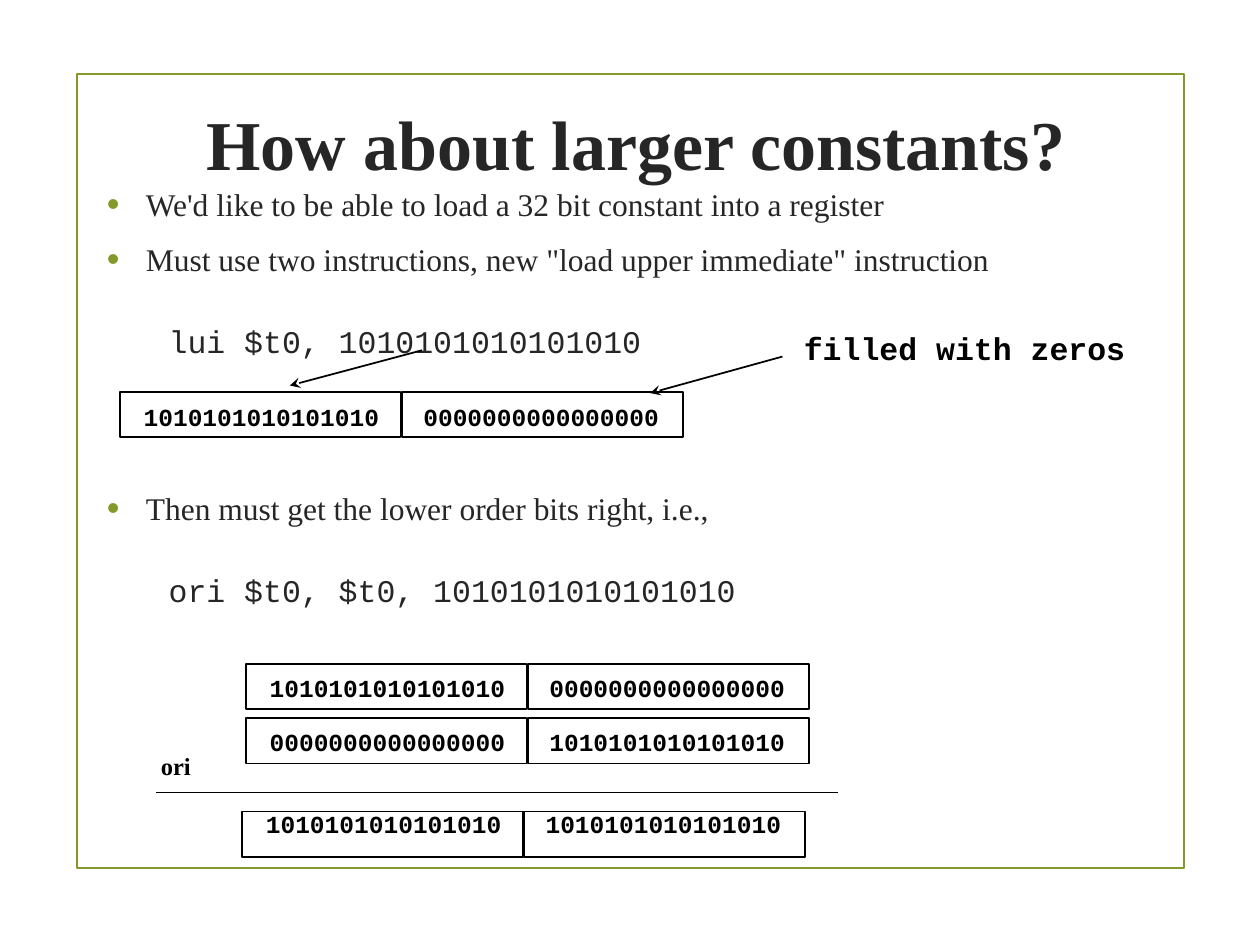
from dataclasses import dataclass

from lxml import etree
from pptx import Presentation
from pptx import util as u
from pptx.dml.color import RGBColor
from pptx.enum import shapes, text
from pptx.oxml import ns

SERIF, MONO = "Times New Roman", "Courier New"
BLACK, DARK, GREEN = "000000", "262626", "83992A"
CELL_WIDTH, CELL_HEIGHT, CELL_PITCH = 2.23, 0.36, 2.24
UPPER, ZEROS = "1010101010101010", "0000000000000000"


@dataclass
class Register:
    left: float
    top: float
    halves: tuple[str, str]
    text_rise: float = 0.02


@dataclass
class Line:
    start: tuple[float, float]
    end: tuple[float, float]
    arrow: bool = True


@dataclass
class BodyLine:
    words: str
    space_before: float
    is_code: bool = False


REGISTERS = [
    Register(0.95, 3.11, (UPPER, ZEROS), 0.01),
    Register(1.95, 5.27, (UPPER, ZEROS)),
    Register(1.95, 5.7, (ZEROS, UPPER)),
    Register(1.92, 6.44, (UPPER, UPPER), 0.11),
]
LINES = [
    Line((3.35, 2.78), (2.3, 3.06)),
    Line((6.21, 2.83), (5.16, 3.12)),
    Line((1.24, 6.29), (6.65, 6.29), arrow=False),
]
BODY = [
    BodyLine("We'd like to be able to load a 32 bit constant into a register", 0),
    BodyLine('Must use two instructions, new "load upper immediate" instruction', 10),
    BodyLine("lui $t0, 1010101010101010", 25, is_code=True),
    BodyLine("Then must get the lower order bits right, i.e.,", 74),
    BodyLine("ori $t0, $t0, 1010101010101010", 25, is_code=True),
]


def color(value: str) -> RGBColor:
    return RGBColor.from_string(value)


def set_font(paragraph, name: str, size: float, value: str, bold: bool = False) -> None:
    for run in paragraph.runs:
        font = run.font
        font.name, font.size, font.bold = name, u.Pt(size), bold
        font.color.rgb = color(value)


def add_outline(slide, left: float, top: float, width: float, height: float,
                value: str, weight: float) -> None:
    shape = slide.shapes.add_shape(shapes.MSO_SHAPE.RECTANGLE, u.Inches(left),
                                   u.Inches(top), u.Inches(width), u.Inches(height))
    shape.shadow.inherit = False
    shape.fill.background()
    shape.line.color.rgb = color(value)
    shape.line.width = u.Pt(weight)


def add_text_frame(slide, left: float, top: float, width: float, height: float):
    box = slide.shapes.add_textbox(u.Inches(left), u.Inches(top),
                                   u.Inches(width), u.Inches(height))
    box.text_frame.word_wrap = True
    return box.text_frame


def add_label(slide, words: str, left: float, top: float, width: float, height: float,
              size: float, line_spacing: float, font: str = MONO,
              align=text.PP_ALIGN.LEFT) -> None:
    frame = add_text_frame(slide, left, top, width, height)
    frame.margin_left = frame.margin_right = u.Inches(0.02)
    frame.margin_top = frame.margin_bottom = u.Inches(0.03)
    frame.text = words
    paragraph = frame.paragraphs[0]
    paragraph.alignment = align
    paragraph.line_spacing = u.Pt(line_spacing)
    set_font(paragraph, font, size, BLACK, bold=True)


def add_register(slide, register: Register) -> None:
    """Draw the upper and lower half of a register side by side."""
    for index, (bits, inset) in enumerate(zip(register.halves, (0.17, 0.15))):
        left = register.left + index * CELL_PITCH
        add_outline(slide, left, register.top, CELL_WIDTH, CELL_HEIGHT, BLACK, 1)
        add_label(slide, bits, left + inset, register.top - register.text_rise,
                  2.05, 0.59, 14, 21)


def add_line(slide, line: Line) -> None:
    points = [u.Inches(value) for value in line.start + line.end]
    connector = slide.shapes.add_connector(shapes.MSO_CONNECTOR.STRAIGHT, *points)
    connector.line.color.rgb = color(BLACK)
    connector.line.width = u.Pt(1)
    if line.arrow:
        etree.SubElement(connector.line._get_or_add_ln(), ns.qn("a:tailEnd"), type="stealth")
    etree.SubElement(connector._element.spPr, ns.qn("a:effectLst"))


def add_bullet(paragraph) -> None:
    properties = paragraph._p.get_or_add_pPr()
    bullet_color = etree.SubElement(properties, ns.qn("a:buClr"))
    etree.SubElement(bullet_color, ns.qn("a:srgbClr"), val=GREEN)
    etree.SubElement(properties, ns.qn("a:buSzPct"), val="115000")
    etree.SubElement(properties, ns.qn("a:buFont"), typeface="Arial")
    etree.SubElement(properties, ns.qn("a:buChar"), char="•")


def add_body(slide) -> None:
    frame = add_text_frame(slide, 0.75, 1.42, 7.44, 3.77)
    frame.text = "\n".join(line.words for line in BODY)
    for paragraph, line in zip(frame.paragraphs, BODY):
        properties = paragraph._p.get_or_add_pPr()
        properties.set("marL", str(u.Inches(0.49 if line.is_code else 0.31)))
        properties.set("indent", str(u.Inches(0 if line.is_code else -0.31)))
        paragraph.space_before = u.Pt(line.space_before)
        if not line.is_code:
            add_bullet(paragraph)
        set_font(paragraph, MONO if line.is_code else SERIF, 18, DARK)


def add_title(slide) -> None:
    frame = add_text_frame(slide, 0.67, 0.42, 8.75, 1.43)
    frame.vertical_anchor = text.MSO_ANCHOR.MIDDLE
    frame.text = "How about larger constants?"
    frame.paragraphs[0].alignment = text.PP_ALIGN.CENTER
    set_font(frame.paragraphs[0], SERIF, 40, DARK, bold=True)


def main() -> None:
    presentation = Presentation()
    presentation.slide_width, presentation.slide_height = u.Inches(10), u.Inches(7.5)
    slide = presentation.slides.add_slide(presentation.slide_layouts[6])
    add_outline(slide, 0.61, 0.59, 8.79, 6.3, GREEN, 1.25)
    add_body(slide)
    add_title(slide)
    for register in REGISTERS:
        add_register(slide, register)
    for line in LINES:
        add_line(slide, line)
    add_label(slide, "ori", 0.77, 5.94, 1.25, 0.36, 14, 16, SERIF, text.PP_ALIGN.CENTER)
    add_label(slide, "filled with zeros", 6.36, 2.51, 2.9, 0.67, 18, 27)
    presentation.save("out.pptx")


if __name__ == "__main__":
    main()
